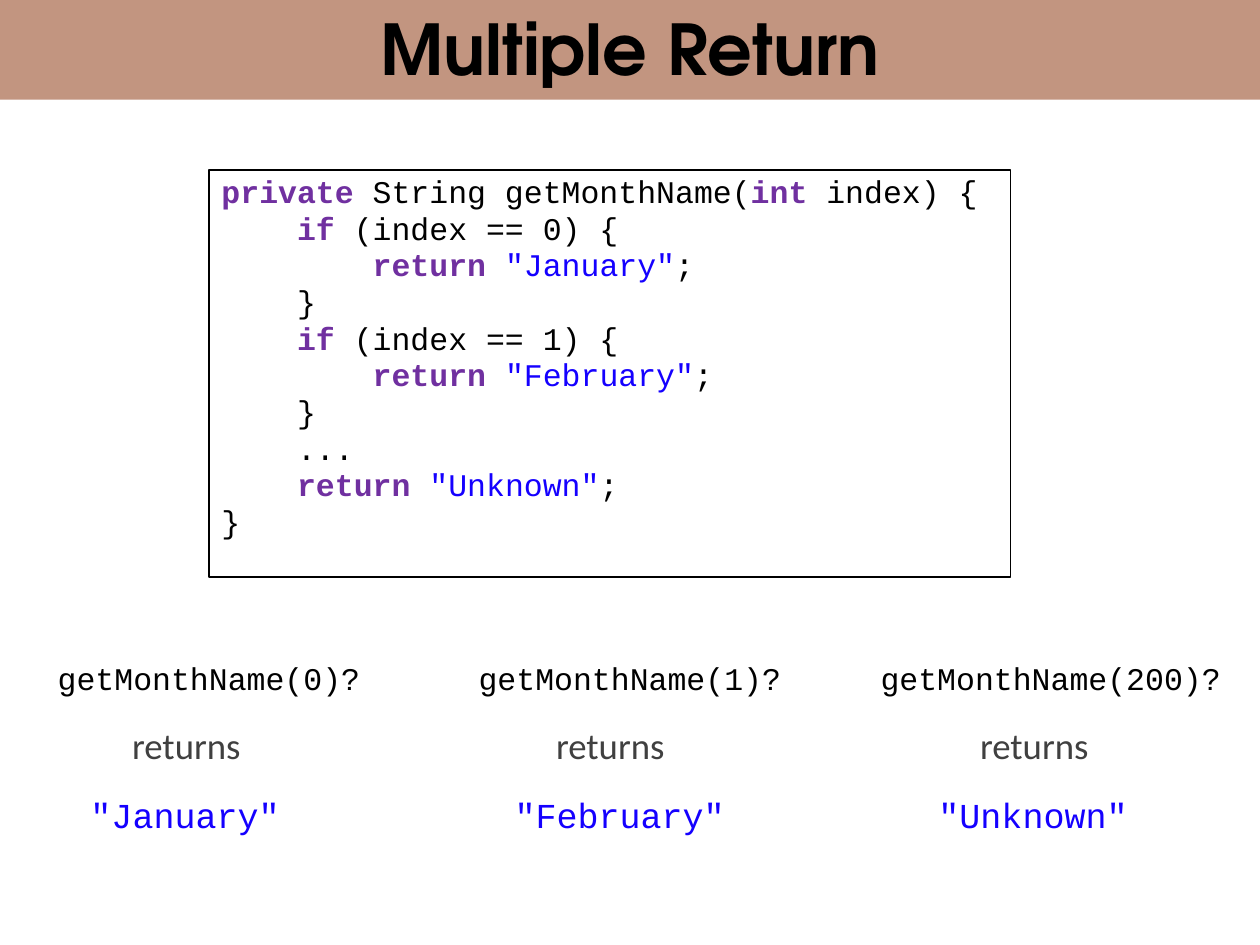
from pptx import Presentation
from pptx.dml.color import RGBColor
from pptx.enum.shapes import MSO_SHAPE
from pptx.enum.text import MSO_ANCHOR, MSO_AUTO_SIZE, PP_ALIGN
from pptx.util import Inches, Pt

RECTANGLE = MSO_SHAPE.RECTANGLE
CENTER, LEFT = PP_ALIGN.CENTER, PP_ALIGN.LEFT
MIDDLE, TOP = MSO_ANCHOR.MIDDLE, MSO_ANCHOR.TOP
FIT_SHAPE, NO_FIT = MSO_AUTO_SIZE.SHAPE_TO_FIT_TEXT, MSO_AUTO_SIZE.NONE

BLACK = RGBColor(0x00, 0x00, 0x00)
GREY = RGBColor(0x40, 0x40, 0x40)
BAND = RGBColor(0xC2, 0x95, 0x80)
KEYWORD = RGBColor(0x70, 0x30, 0xA0)
STRING = RGBColor(0x15, 0x00, 0xFF)

CODE_FONT, TEXT_FONT, TITLE_FONT = "Courier New", "Calibri", "TeX Gyre Adventor"

# Each code line is a list of (text, colour); keywords are also bold
CODE = [
    [("private ", KEYWORD), ("String getMonthName(", BLACK), ("int ", KEYWORD), ("index) {", BLACK)],
    [("    if ", KEYWORD), ("(index == 0) {", BLACK)],
    [("        return ", KEYWORD), ('"January"', STRING), (";", BLACK)],
    [("    }", BLACK)],
    [("    if ", KEYWORD), ("(index == 1) {", BLACK)],
    [("        return ", KEYWORD), ('"February"', STRING), (";", BLACK)],
    [("    }", BLACK)],
    [("    ...", BLACK)],
    [("    return ", KEYWORD), ('"Unknown"', STRING), (";", BLACK)],
    [("}", BLACK)],
]

EXAMPLES = [(0, '"January"'), (1, '"February"'), (200, '"Unknown"')]

# Example grid: calls are centred in their columns, answers share a left edge
CALL_CENTER, CALL_PITCH, CALL_CHARACTER = 1.66, 3.34, 0.15
ANSWER_PITCH, ANSWER_CHARACTER = 3.365, 0.168
CALL_TOP, RETURNS_TOP, VALUE_TOP = 5.18, 5.69, 6.25
SIDE_INSETS = 0.2


def set_font(font, name, size, color, bold=False):
    font.name, font.size, font.bold = name, Pt(size), bold
    font.color.rgb = color


def add_title(slide, text):
    title = slide.shapes.title
    title.left, title.top = 0, Inches(-0.03)
    title.width, title.height = Inches(10), Inches(0.82)
    title.fill.solid()
    title.fill.fore_color.rgb = BAND
    frame = title.text_frame
    frame.text = text
    frame.auto_size = NO_FIT
    frame.vertical_anchor = MIDDLE
    paragraph = frame.paragraphs[0]
    paragraph.alignment = CENTER
    set_font(paragraph.font, TITLE_FONT, 40, BLACK, True)


def add_code(slide, lines):
    box = slide.shapes.add_shape(RECTANGLE, Inches(1.66), Inches(1.35), Inches(6.36), Inches(3.23))
    box.shadow.inherit = False
    box.fill.background()
    box.line.color.rgb = BLACK
    box.line.width = Pt(0.75)
    frame = box.text_frame
    frame.word_wrap = True
    frame.vertical_anchor = TOP
    for number, line in enumerate(lines):
        paragraph = frame.add_paragraph() if number else frame.paragraphs[0]
        paragraph.alignment = LEFT
        paragraph.line_spacing = 0.9
        paragraph.space_after = Pt(1.5)
        for text, color in line:
            run = paragraph.add_run()
            run.text = text
            set_font(run.font, CODE_FONT, 18, color, color == KEYWORD)


def add_label(slide, text, left, top, width, height, font, size, color):
    box = slide.shapes.add_textbox(Inches(left), Inches(top), Inches(width), Inches(height))
    frame = box.text_frame
    frame.word_wrap = False
    frame.auto_size = FIT_SHAPE
    frame.text = text
    set_font(frame.paragraphs[0].font, font, size, color)


def add_example(slide, column, index, value):
    call = f"getMonthName({index})?"
    call_width = len(call) * CALL_CHARACTER + SIDE_INSETS
    call_left = CALL_CENTER + column * CALL_PITCH - call_width / 2
    value_width = len(value) * ANSWER_CHARACTER + SIDE_INSETS
    offset = column * ANSWER_PITCH
    add_label(slide, call, call_left, CALL_TOP, call_width, 0.4, CODE_FONT, 18, BLACK)
    add_label(slide, "returns", 0.95 + offset, RETURNS_TOP, 1.06, 0.45, TEXT_FONT, 21, GREY)
    add_label(slide, value, 0.62 + offset, VALUE_TOP, value_width, 0.44, CODE_FONT, 20, STRING)


def main():
    presentation = Presentation()
    presentation.slide_width, presentation.slide_height = Inches(10), Inches(7.5)
    slide = presentation.slides.add_slide(presentation.slide_layouts[5])
    add_title(slide, "Multiple Return")
    add_code(slide, CODE)
    for column, (index, value) in enumerate(EXAMPLES):
        add_example(slide, column, index, value)
    presentation.save("out.pptx")


if __name__ == "__main__":
    main()
